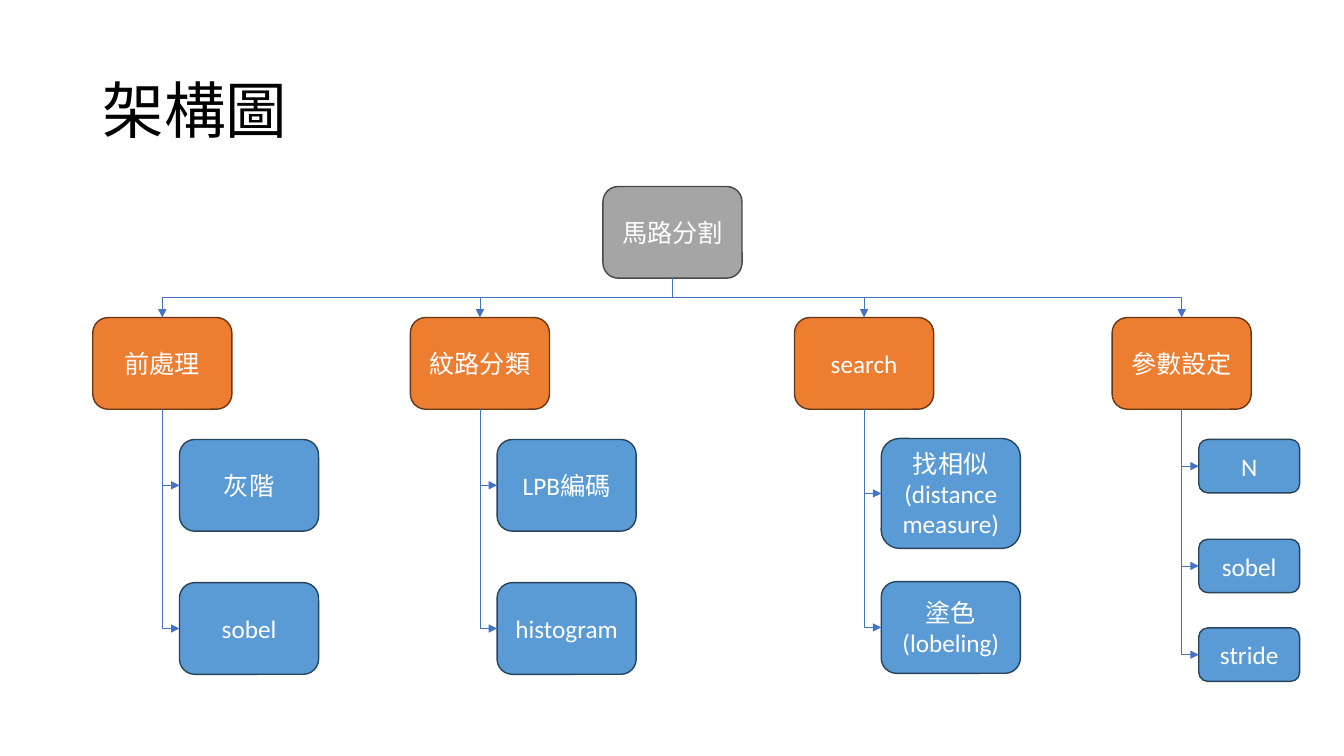
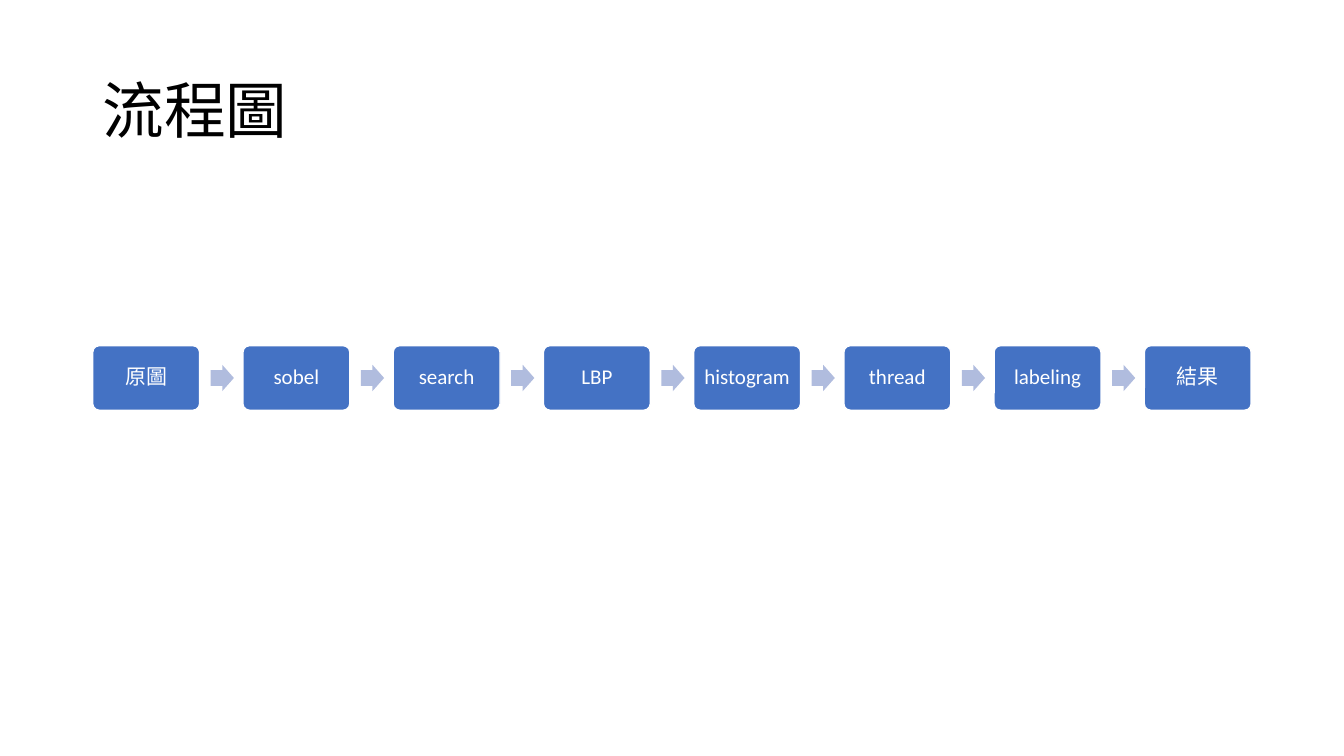
from pptx import Presentation
from pptx import util as u
from pptx.dml.color import RGBColor
from pptx.enum import shapes, text
from pptx.oxml.ns import qn
from lxml import etree

Inches = u.Inches


class Theme:
    font = "Calibri"
    ink, white = "000000", "FFFFFF"
    root = ("A5A5A5", "484848")
    head = ("ED7D31", "683715")
    leaf = ("5B9BD5", "28445D")
    step = ("4472C4", "FFFFFF")
    wire, arrow = "4472C4", "B0BCDE"
    title, node, small = 44, 18, 15


TREE = ("馬路分割", [
    ("前處理", 0.92, 1.38, [("灰階", 4.36, 0.91), ("sobel", 5.78, 0.91)]),
    ("紋路分類", 4.07, 1.38, [("LPB編碼", 4.36, 0.91), ("histogram", 5.78, 0.91)]),
    ("search", 7.88, 1.38, [("找相似\n(distance\nmeasure)", 4.35, 1.09),
                            ("塗色\n(lobeling)", 5.77, 0.91)]),
    ("參數設定", 11.03, 1.0, [("N", 4.36, 0.53), ("sobel", 5.35, 0.53),
                          ("stride", 6.23, 0.53)]),
])
STEPS = ["原圖", "sobel", "search", "LBP", "histogram", "thread", "labeling", "結果"]
NODE = (1.38, 0.91)
INDENT = 0.86
STEP = (1.06, 0.64)
ARROW = (0.23, 0.26)
PITCH = 1.49


def rgb(code):
    return RGBColor.from_string(code)


def style(frame, size, color, align, space=None):
    frame.word_wrap = True
    frame.vertical_anchor = text.MSO_ANCHOR.MIDDLE
    for para in frame.paragraphs:
        para.alignment = align
        para.line_spacing = space
        para.font.name = Theme.font
        para.font.size = u.Pt(size)
        para.font.color.rgb = rgb(color)


def new_slide(deck, title):
    slide = deck.slides.add_slide(deck.slide_layouts[6])
    box = slide.shapes.add_textbox(*map(Inches, (0.92, 0.4, 11.5, 1.45)))
    box.text_frame.text = title
    style(box.text_frame, Theme.title, Theme.ink, text.PP_ALIGN.LEFT, 0.9)
    return slide


def shape(slide, kind, at, fill, line=None):
    item = slide.shapes.add_shape(kind, *map(Inches, at))
    item.shadow.inherit = False
    item.fill.solid()
    item.fill.fore_color.rgb = rgb(fill)
    if line:
        item.line.color.rgb = rgb(line)
        item.line.width = u.Pt(1)
    else:
        item.line.fill.background()
    return item


def node(slide, words, at, colors, size=Theme.node, space=None):
    kind = shapes.MSO_SHAPE.ROUNDED_RECTANGLE
    item = shape(slide, kind, at, *colors)
    item.text_frame.text = words
    style(item.text_frame, size, Theme.white, text.PP_ALIGN.CENTER, space)
    return item


def elbow(slide, start, end, side, preset):
    wire = slide.shapes.add_connector(shapes.MSO_CONNECTOR.ELBOW, 0, 0, 0, 0)
    wire.begin_connect(start, 2)
    wire.end_connect(end, side)
    dx, dy = wire.end_x - wire.begin_x, wire.end_y - wire.begin_y
    mid_x, mid_y = wire.begin_x + dx // 2, wire.begin_y + dy // 2
    wire.width, wire.height = dy, abs(dx)
    wire.left, wire.top = mid_x - dy // 2, mid_y - abs(dx) // 2
    props = wire.element.spPr
    frame = props.find(qn("a:xfrm"))
    frame.set("rot", "16200000" if dx > 0 else "5400000")
    frame.set("flipH", "1" if dx > 0 else "0")
    frame.set("flipV", "0")
    props.find(qn("a:prstGeom")).set("prst", preset)
    wire.line.color.rgb = rgb(Theme.wire)
    wire.line.width = u.Pt(0.5)
    etree.SubElement(props.find(qn("a:ln")), qn("a:tailEnd"), type="triangle")
    etree.SubElement(props, qn("a:effectLst"))


def draw_tree(deck):
    slide = new_slide(deck, "架構圖")
    name, heads = TREE
    root = node(slide, name, (5.98, 1.85, *NODE), Theme.root)
    for words, x, width, leaves in heads:
        head = node(slide, words, (x, 3.15, *NODE), Theme.head)
        elbow(slide, root, head, 0, "bentConnector3")
        for label, y, height in leaves:
            leaf = node(slide, label, (x + INDENT, y, width, height), Theme.leaf)
            elbow(slide, head, leaf, 1, "bentConnector2")


def draw_flow(deck):
    slide = new_slide(deck, "流程圖")
    for i, words in enumerate(STEPS):
        x = 0.92 + i * PITCH
        if i:
            arrow = shape(slide, shapes.MSO_SHAPE.RIGHT_ARROW,
                          (x - 0.32, 3.62, *ARROW), Theme.arrow)
            arrow.adjustments[0] = 0.6
        step = node(slide, words, (x, 3.43, *STEP), Theme.step, Theme.small, 0.9)
        step.adjustments[0] = 0.1
        frame = step.text_frame
        frame.margin_left = frame.margin_right = Inches(0.06)
        frame.margin_top = frame.margin_bottom = Inches(0.06)


def main():
    deck = Presentation()
    deck.slide_width, deck.slide_height = Inches(13.33), Inches(7.5)
    draw_tree(deck)
    draw_flow(deck)
    deck.save("out.pptx")


if __name__ == "__main__":
    main()
